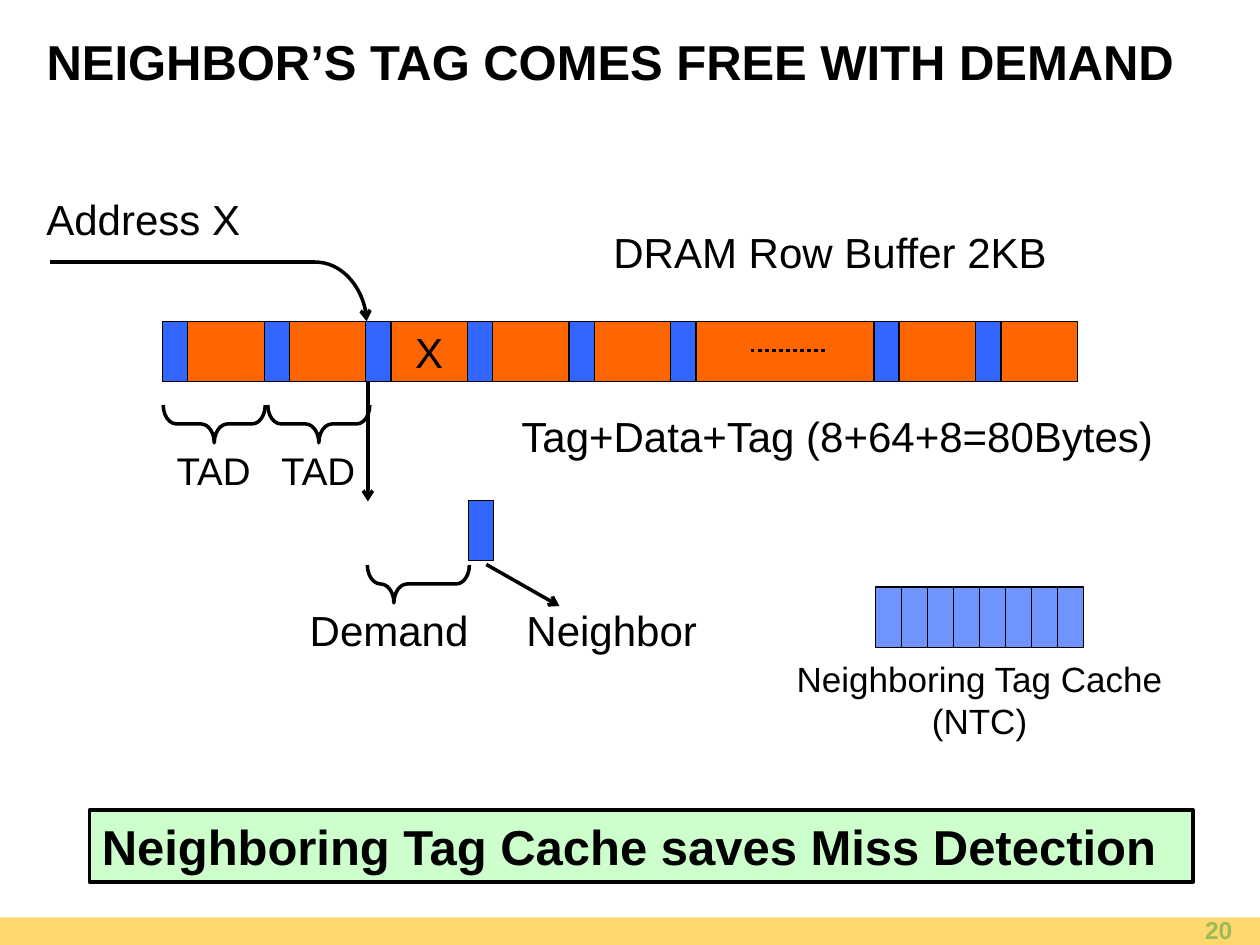
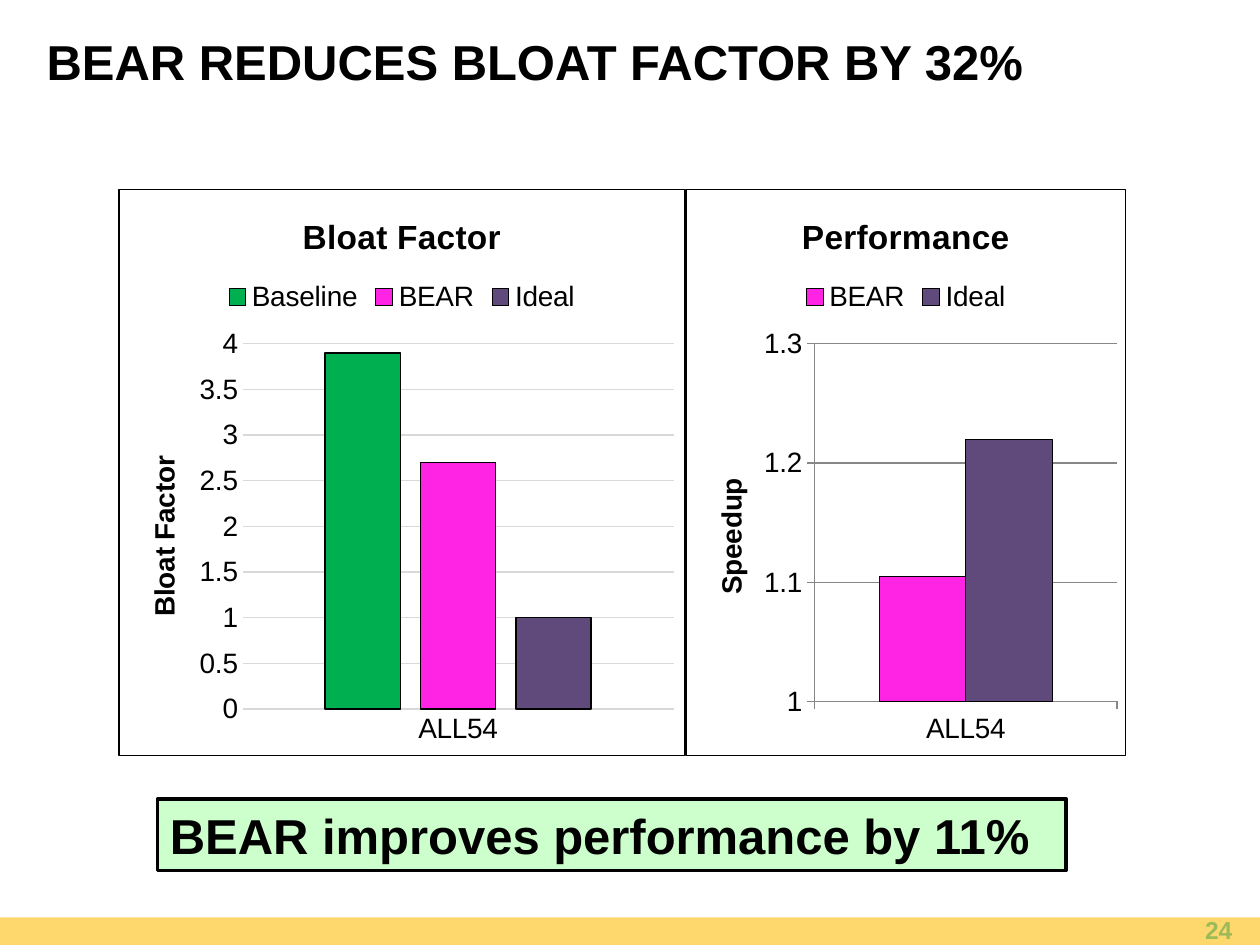
"""Build two slides on neighboring tag caching and the bloat factor results."""
import pptx
import pptx.chart.data
import pptx.dml.color
import pptx.enum.chart
import pptx.enum.dml
import pptx.enum.shapes
import pptx.enum.text
import pptx.oxml
import pptx.oxml.ns
import pptx.util

Inches = pptx.util.Inches
Pt = pptx.util.Pt
RGBColor = pptx.dml.color.RGBColor
MSO_SHAPE = pptx.enum.shapes.MSO_SHAPE
MSO_CONNECTOR = pptx.enum.shapes.MSO_CONNECTOR
MSO_ANCHOR = pptx.enum.text.MSO_ANCHOR
PP_ALIGN = pptx.enum.text.PP_ALIGN
TICK = pptx.enum.chart.XL_TICK_MARK
qn = pptx.oxml.ns.qn

FONT = "Arial"
BLACK = RGBColor(0x00, 0x00, 0x00)
BAND_YELLOW = RGBColor(0xFF, 0xD8, 0x6D)
NUMBER_GREEN = RGBColor(0x9B, 0xBB, 0x59)
BANNER_GREEN = RGBColor(0xCC, 0xFF, 0xCC)
TAG_BLUE = RGBColor(0x33, 0x66, 0xFF)
DATA_ORANGE = RGBColor(0xFF, 0x66, 0x00)
LIGHT_GRAY = RGBColor(0xD9, 0xD9, 0xD9)
AXIS_GRAY = RGBColor(0x87, 0x87, 0x87)
SERIES_COLORS = {
    "Baseline": RGBColor(0x00, 0xB0, 0x50),
    "BEAR": RGBColor(0xFF, 0x23, 0xE3),
    "Ideal": RGBColor(0x60, 0x4A, 0x7B),
}


def add_block(slide, left, top, width, height, fill, line_width=0.75, kind=MSO_SHAPE.RECTANGLE):
    shape = slide.shapes.add_shape(kind, Inches(left), Inches(top), Inches(width), Inches(height))
    shape.shadow.inherit = False
    if fill is None:
        shape.fill.background()
    else:
        shape.fill.solid()
        shape.fill.fore_color.rgb = fill
    if line_width:
        shape.line.color.rgb = BLACK
        shape.line.width = Pt(line_width)
    else:
        shape.line.fill.background()
    return shape


def write_text(shape, text, size, bold=False, align=PP_ALIGN.LEFT, color=BLACK, anchor=MSO_ANCHOR.MIDDLE):
    frame = shape.text_frame
    frame.word_wrap = True
    frame.auto_size = pptx.enum.text.MSO_AUTO_SIZE.NONE
    frame.vertical_anchor = anchor
    frame.text = text
    for paragraph in frame.paragraphs:
        paragraph.alignment = align
        for run in paragraph.runs:
            run.font.name = FONT
            run.font.size = Pt(size)
            run.font.bold = bold
            run.font.color.rgb = color


presentation = pptx.Presentation()
presentation.slide_width = Inches(10)
presentation.slide_height = Inches(7.5)

slides = []
for title_text, number, banner_text, banner_box in [
    ("NEIGHBOR’S TAG COMES FREE WITH DEMAND", "20",
     "Neighboring Tag Cache saves Miss Detection", (0.71, 6.43, 8.76, 0.57)),
    ("BEAR REDUCES BLOAT FACTOR BY 32%", "24",
     "BEAR improves performance by 11%", (1.25, 6.34, 7.21, 0.57)),
]:
    slide = presentation.slides.add_slide(presentation.slide_layouts[5])
    slides.append(slide)
    title = slide.shapes.title
    title.left, title.top, title.width, title.height = map(Inches, (0.27, 0.22, 9.17, 0.53))
    write_text(title, title_text, 28, bold=True)
    add_block(slide, 0, 7.28, 10, 0.22, BAND_YELLOW, line_width=0)
    number_box = slide.shapes.add_textbox(*map(Inches, (7.55, 7.25, 2.33, 0.26)))
    write_text(number_box, number, 14, True, PP_ALIGN.RIGHT, NUMBER_GREEN)
    banner = add_block(slide, *banner_box, BANNER_GREEN, line_width=2)
    write_text(banner, banner_text, 28, bold=True)

tag_slide, result_slide = slides

ROW_LEFT, ROW_TOP, ROW_RIGHT = 1.29, 2.55, 8.55
TAG_WIDTH, BLOCK_HEIGHT = 0.2, 0.48
SLOT_WIDTH = (ROW_RIGHT - ROW_LEFT) / 9
for slot, span in [(0, 1), (1, 1), (2, 1), (3, 1), (4, 1), (5, 2), (7, 1), (8, 1)]:
    tag_left = ROW_LEFT + slot * SLOT_WIDTH
    add_block(tag_slide, tag_left, ROW_TOP, TAG_WIDTH, BLOCK_HEIGHT, TAG_BLUE)
    data = add_block(tag_slide, tag_left + TAG_WIDTH, ROW_TOP,
                     span * SLOT_WIDTH - TAG_WIDTH, BLOCK_HEIGHT, DATA_ORANGE)
    if slot == 2:
        write_text(data, "X", 24, align=PP_ALIGN.CENTER)

add_block(tag_slide, 3.72, 3.97, TAG_WIDTH, BLOCK_HEIGHT, TAG_BLUE)

CACHE_LEFT, CACHE_RIGHT, CACHE_ENTRIES = 6.95, 8.6, 8
entry_width = (CACHE_RIGHT - CACHE_LEFT) / CACHE_ENTRIES
for entry in range(CACHE_ENTRIES):
    cache_entry = add_block(tag_slide, CACHE_LEFT + entry * entry_width, 4.66,
                            entry_width, BLOCK_HEIGHT, TAG_BLUE)
    fill_color = cache_entry.fill._xPr.find(qn("a:solidFill"))[0]
    pptx.oxml.ns.nsdecls("a")
    fill_color.append(pptx.oxml.parse_xml(f'<a:alpha {pptx.oxml.ns.nsdecls("a")} val="70000"/>'))

for brace_left, brace_top, point in [(1.55, 2.96, 0.5), (2.38, 2.96, 0.5), (3.17, 4.23, 0.74)]:
    brace = add_block(tag_slide, brace_left, brace_top, 0.3, 0.81, None, 2, MSO_SHAPE.RIGHT_BRACE)
    brace.rotation = 90
    brace.adjustments[0] = 0.35
    brace.adjustments[1] = point

STRAIGHT, CURVE = MSO_CONNECTOR.STRAIGHT, MSO_CONNECTOR.CURVE
for kind, start_x, start_y, end_x, end_y, arrow, dotted in [
    (STRAIGHT, 5.96, 2.78, 6.56, 2.78, False, True),
    (STRAIGHT, 0.4, 2.08, 2.5, 2.08, False, False),
    (CURVE, 2.5, 2.08, 2.91, 2.55, True, False),
    (STRAIGHT, 2.92, 3.03, 2.92, 3.98, True, False),
    (STRAIGHT, 3.86, 4.48, 4.44, 4.81, True, False),
]:
    connector = tag_slide.shapes.add_connector(kind, *map(Inches, (start_x, start_y, end_x, end_y)))
    connector.line.color.rgb = BLACK
    connector.line.width = Pt(2)
    if dotted:
        connector.line.dash_style = pptx.enum.dml.MSO_LINE.ROUND_DOT
    properties = connector._element.spPr
    if kind == CURVE:
        properties.find(qn("a:prstGeom")).set("prst", "curvedConnector2")
    if arrow:
        line_element = properties.find(qn("a:ln"))
        line_element.append(line_element.makeelement(qn("a:tailEnd"), {"type": "arrow"}))
    properties.append(properties.makeelement(qn("a:effectLst"), {}))

for text, left, top, width, height, size, align in [
    ("Address X", 0.27, 1.49, 1.9, 0.5, 24, PP_ALIGN.LEFT),
    ("DRAM Row Buffer 2KB", 4.77, 1.75, 3.73, 0.5, 24, PP_ALIGN.LEFT),
    ("Tag+Data+Tag (8+64+8=80Bytes)", 4.04, 3.21, 5.26, 0.5, 24, PP_ALIGN.LEFT),
    ("Demand", 2.36, 4.75, 1.47, 0.5, 24, PP_ALIGN.LEFT),
    ("Neighbor", 4.08, 4.75, 1.57, 0.5, 24, PP_ALIGN.LEFT),
    ("TAD", 1.29, 3.5, 0.81, 0.47, 22, PP_ALIGN.CENTER),
    ("TAD", 2.12, 3.5, 0.81, 0.47, 22, PP_ALIGN.CENTER),
    ("Neighboring Tag Cache\n(NTC)", 6.21, 5.17, 3.13, 0.77, 20, PP_ALIGN.CENTER),
]:
    label = tag_slide.shapes.add_textbox(*map(Inches, (left, top, width, height)))
    write_text(label, text, size, align=align, anchor=MSO_ANCHOR.TOP)

for (chart_title, axis_title, left, width, values, minimum, maximum, step,
     number_format, gap, overlap, tick, grid_color) in [
    ("Bloat Factor", "Bloat Factor", 0.94, 4.5, {"Baseline": 3.9, "BEAR": 2.7, "Ideal": 1},
     0, 4, 0.5, "General", 219, -27, TICK.NONE, LIGHT_GRAY),
    ("Performance", "Speedup", 5.44, 3.5, {"BEAR": 1.105, "Ideal": 1.22},
     1, 1.3, 0.1, "General", 150, 0, TICK.OUTSIDE, AXIS_GRAY),
]:
    chart_data = pptx.chart.data.CategoryChartData(number_format=number_format)
    chart_data.categories = ["ALL54"]
    for name, value in values.items():
        chart_data.add_series(name, [value])
    chart = result_slide.shapes.add_chart(
        pptx.enum.chart.XL_CHART_TYPE.COLUMN_CLUSTERED,
        Inches(left), Inches(1.5), Inches(width), Inches(4.5), chart_data).chart
    chart.font.name = FONT
    chart.font.size = Pt(16)
    chart.font.color.rgb = BLACK
    chart.has_legend = True
    chart.legend.position = pptx.enum.chart.XL_LEGEND_POSITION.TOP
    chart.legend.include_in_layout = False

    category_axis, value_axis = chart.category_axis, chart.value_axis
    chart.has_title = True
    value_axis.has_title = True
    for heading, text, size in [(chart.chart_title, chart_title, 19.2),
                                (value_axis.axis_title, axis_title, 16)]:
        heading.text_frame.text = text
        font = heading.text_frame.paragraphs[0].runs[0].font
        font.name = FONT
        font.size = Pt(size)
        font.bold = True
        font.color.rgb = BLACK

    value_axis.minimum_scale = minimum
    value_axis.maximum_scale = maximum
    value_axis.major_unit = step
    value_axis.has_major_gridlines = True
    for axis in (category_axis, value_axis):
        axis.major_tick_mark = tick
        axis.minor_tick_mark = TICK.NONE
    for line in (value_axis.major_gridlines.format.line, category_axis.format.line, value_axis.format.line):
        line.color.rgb = grid_color
        line.width = Pt(0.75)
    if tick == TICK.NONE:
        value_axis.format.line.fill.background()

    plot = chart.plots[0]
    plot.vary_by_categories = False
    plot.gap_width = gap
    plot.overlap = overlap
    for series in plot.series:
        series.format.fill.solid()
        series.format.fill.fore_color.rgb = SERIES_COLORS[series.name]
        series.format.line.color.rgb = BLACK
        series.format.line.width = Pt(0.75)

    border = pptx.oxml.parse_xml(
        f'<c:spPr {pptx.oxml.ns.nsdecls("c", "a")}><a:noFill/><a:ln w="9525"><a:solidFill>'
        f'<a:srgbClr val="{BLACK}"/></a:solidFill></a:ln></c:spPr>')
    chart._chartSpace.find(qn("c:chart")).addnext(border)

presentation.save("out.pptx")
